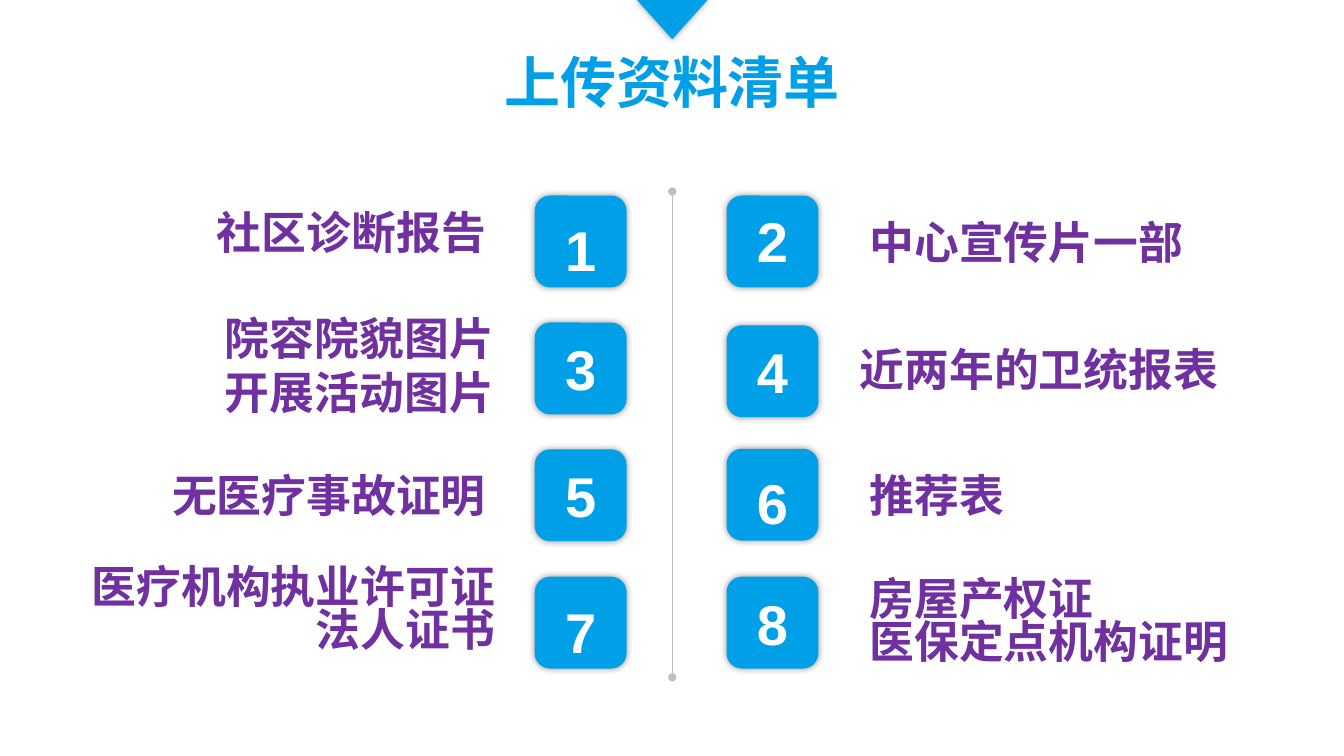
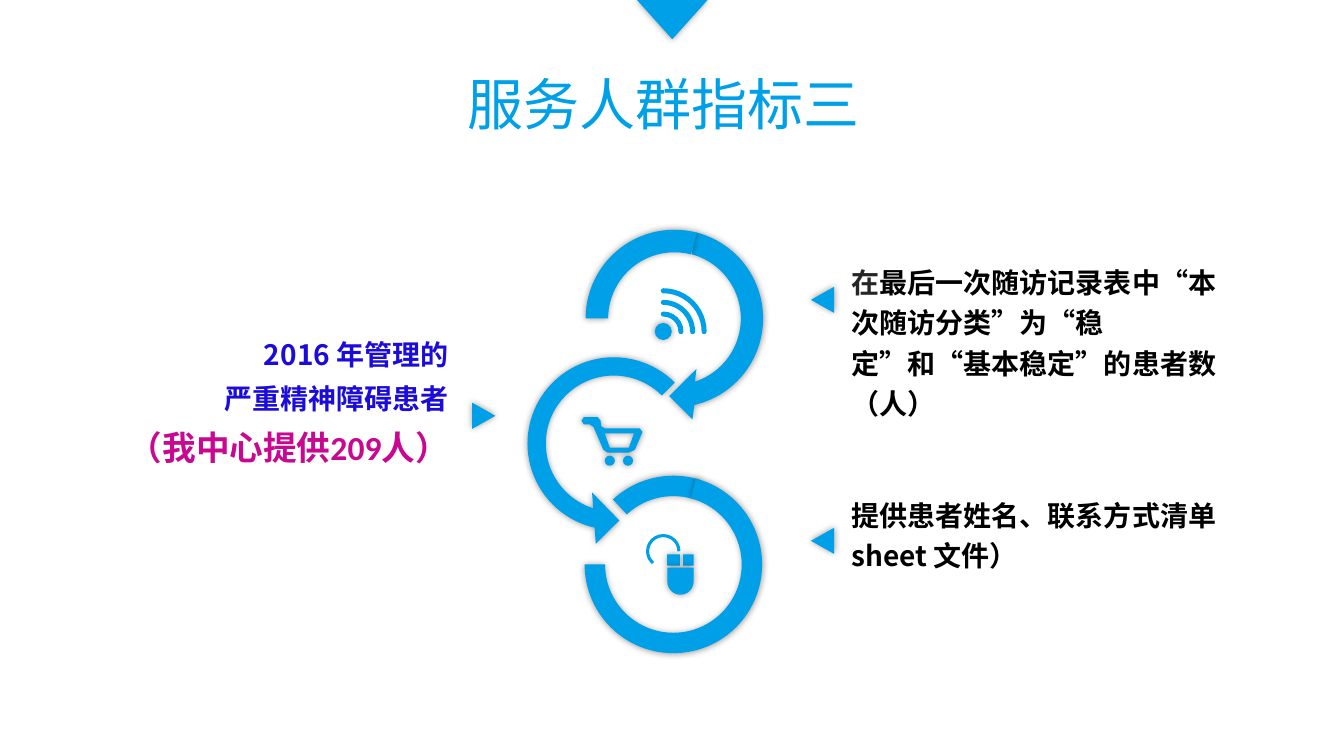
"""Build two slides: a numbered upload checklist and a linked-ring indicator diagram."""
from math import cos, radians, sin

from lxml.etree import SubElement
from pptx import Presentation
from pptx.dml.color import RGBColor
from pptx.enum.shapes import MSO_CONNECTOR, MSO_SHAPE
from pptx.enum.text import PP_ALIGN
from pptx.oxml.ns import qn
from pptx.util import Pt

BLUE = RGBColor(0x00, 0xA0, 0xE9)
PURPLE = RGBColor(0x70, 0x30, 0xA0)
INDIGO = RGBColor(0x1B, 0x0C, 0xDA)
MAGENTA = RGBColor(0xC8, 0x08, 0x90)
GRAY = RGBColor(0xBF, 0xBF, 0xBF)
CHARCOAL = RGBColor(0x26, 0x26, 0x26)
BLACK = RGBColor(0x00, 0x00, 0x00)
WHITE = RGBColor(0xFF, 0xFF, 0xFF)
TITLE_FONT = "Noto Sans CJK JP"
BODY_FONT = "Noto Sans CJK SC"


def paint(shape, rotation=0, adjustments=()):
    """Give a shape the blue fill and the soft shadow."""
    shape.fill.solid()
    shape.fill.fore_color.rgb = BLUE
    shape.line.fill.background()
    shape.rotation = rotation
    for index, value in enumerate(adjustments):
        shape.adjustments[index] = value
    shape.shadow.inherit = False
    effects = shape._element.spPr.find(qn("a:effectLst"))
    shadow = SubElement(effects, qn("a:outerShdw"), blurRad=str(Pt(5)), algn="ctr", rotWithShape="0")
    color = SubElement(shadow, qn("a:srgbClr"), val="000000")
    SubElement(color, qn("a:alpha"), val="40000")


def add_text(slide, box, lines, size, font, color, align, bold=True, spacing=None):
    """Add a wrapped text box with one paragraph per line."""
    frame = slide.shapes.add_textbox(*map(Pt, box)).text_frame
    frame.word_wrap = True
    frame.text = "\n".join(lines)
    for paragraph in frame.paragraphs:
        paragraph.alignment = align
        paragraph.line_spacing = spacing
        paragraph.font.size = Pt(size)
        paragraph.font.bold = bold
        paragraph.font.color.rgb = color
        paragraph.font.name = font
        east_asian = BODY_FONT if font in ("Calibri", "Arial") else font
        SubElement(paragraph._p.pPr.find(qn("a:defRPr")), qn("a:ea"), typeface=east_asian)
    return frame


presentation = Presentation()
presentation.slide_width = Pt(960)
presentation.slide_height = Pt(540)

slides = []
for title, left, top, bold in [("上传资料清单", 263, 31, True), ("服务人群指标三", 257, 46.8, False)]:
    slide = presentation.slides.add_slide(presentation.slide_layouts[6])
    marker = slide.shapes.add_shape(MSO_SHAPE.ISOSCELES_TRIANGLE, Pt(455), Pt(0), Pt(50.4), Pt(28))
    paint(marker, rotation=180)
    frame = add_text(slide, (left, top, 434, 53), [title], 40, TITLE_FONT, BLUE, PP_ALIGN.CENTER, bold)
    frame.margin_left = frame.margin_right = Pt(5)
    frame.margin_top = frame.margin_bottom = Pt(2.9)
    slides.append(slide)
checklist, indicator = slides

divider = checklist.shapes.add_connector(MSO_CONNECTOR.STRAIGHT, Pt(480.2), Pt(136.8), Pt(480.2), Pt(483.8))
divider.line.color.rgb = GRAY
divider.line.width = Pt(0.5)
properties = divider._element.spPr
for end in ("a:headEnd", "a:tailEnd"):
    SubElement(properties.find(qn("a:ln")), qn(end), type="oval")
SubElement(properties, qn("a:effectLst"))

TILE = 65.6
items = [
    (139.7, 150.5, (112.3, 149.8, 242, 38), ["社区诊断报告"], 0.8),
    (139.7, 144, (614, 149.8, 259, 46), ["中心宣传片一部"], None),
    (230.4, 235.4, (49.7, 218.2, 310.3, 85), ["院容院貌图片", "开展活动图片"], None),
    (232.4, 237.6, (607, 240.5, 344, 46), ["近两年的卫统报表"], None),
    (321, 326.2, (56.9, 330.5, 297.4, 46), ["无医疗事故证明"], None),
    (320.6, 331.2, (614, 330.5, 259, 46), ["推荐表"], None),
    (412, 423.4, (38.2, 403.2, 322.6, 69), ["医疗机构执业许可证法人证书"], 0.8),
    (412, 417.6, (614, 411.8, 275, 69), ["房屋产权证", "医保定点机构证明"], 0.8),
]
for number, (tile_top, digit_top, box, lines, spacing) in enumerate(items, 1):
    on_left = number % 2 == 1
    tile_left = 382 if on_left else 519
    tile = checklist.shapes.add_shape(
        MSO_SHAPE.ROUNDED_RECTANGLE, Pt(tile_left), Pt(tile_top), Pt(TILE), Pt(TILE))
    paint(tile)
    add_text(checklist, (tile_left, digit_top, TILE, 55), [str(number)], 40, "Arial", WHITE, PP_ALIGN.CENTER)
    align = PP_ALIGN.RIGHT if on_left else PP_ALIGN.LEFT
    add_text(checklist, box, lines, 32, "Calibri", PURPLE, align, spacing=spacing)

RING = 126.8
ring_parts = [
    (MSO_SHAPE.LEFT_CIRCULAR_ARROW, 365, 243.4, 146.9, (0.089, 11.423, 62.936, 189, 0.125)),
    (MSO_SHAPE.BLOCK_ARC, 417.6, 339.8, RING, (136.24, 172.28, 0.115)),
    (MSO_SHAPE.BLOCK_ARC, 417.6, 339.8, RING, (170.85, 108, 0.115)),
]
for kind, left, top, size, adjustments in ring_parts:
    ring = indicator.shapes.add_shape(kind, Pt(left), Pt(top), Pt(size), Pt(size))
    paint(ring, adjustments=adjustments)

center_x, center_y, outer, inner = 481.7, 227.5, 63.4, 47.5
outer_arc = [(center_x + outer * cos(radians(a)), center_y + outer * sin(radians(a))) for a in range(-76, 78, 3)]
inner_arc = [(center_x + inner * cos(radians(a)), center_y + inner * sin(radians(a))) for a in range(72, -77, -3)]
arrow_tip = [(494.6, 299.5), (478.1, 283), (497.5, 263.5)]
ring_arrow = [outer_arc + arrow_tip + inner_arc]
cart = [
    [(417, 298), (427, 298), (429, 300.3), (429.5, 304.5), (432, 306), (457, 306), (459, 308.5),
     (453.6, 321.2), (449.3, 323.3), (434, 323.3), (431, 321.2), (424, 305), (421.2, 303.1),
     (417, 303.1), (415.4, 300.5)],
    [(449.3, 319.7), (435.6, 319.7), (432, 309.6), (452.9, 309.6)],
]
for contours in (ring_arrow, cart):
    builder = None
    for contour in contours:
        points = [(Pt(x), Pt(y)) for x, y in contour]
        if builder is None:
            builder = indicator.shapes.build_freeform(*points[0])
        else:
            builder.move_to(*points[0])
        builder.add_line_segments(points[1:], close=True)
    paint(builder.convert_to_shape())

ring_start = indicator.shapes.add_shape(
    MSO_SHAPE.BLOCK_ARC, Pt(center_x - outer), Pt(center_y - outer), Pt(RING), Pt(RING))
paint(ring_start, adjustments=(108, 170.8, 0.127))

icon_parts = [
    (MSO_SHAPE.OVAL, 467.7, 230.7, 12.2, 12.2, 0),
    (MSO_SHAPE.OVAL, 432, 325.5, 7.2, 7.2, 0),
    (MSO_SHAPE.OVAL, 445, 325.5, 7.2, 7.2, 0),
    (MSO_SHAPE.RECTANGLE, 476.6, 396, 9, 8, 0),
    (MSO_SHAPE.RECTANGLE, 488, 396, 7.4, 8, 0),
    (MSO_SHAPE.ROUND_2_SAME_RECTANGLE, 476.6, 405.4, 18.8, 19.4, 180),
    (MSO_SHAPE.ISOSCELES_TRIANGLE, 578.2, 205.9, 18.7, 16.6, 270),
    (MSO_SHAPE.ISOSCELES_TRIANGLE, 578.2, 378, 18.7, 16.6, 270),
    (MSO_SHAPE.ISOSCELES_TRIANGLE, 336.2, 288.7, 18.7, 16.6, 90),
]
for kind, left, top, width, height, rotation in icon_parts:
    part = indicator.shapes.add_shape(kind, Pt(left), Pt(top), Pt(width), Pt(height))
    rounded = kind == MSO_SHAPE.ROUND_2_SAME_RECTANGLE
    paint(part, rotation, (0.5, 0) if rounded else ())

strokes = [(473.8, 236.9, radius, 3.6, 162, "rnd") for radius in (12.6, 20.9, 29.2)]
strokes.append((473.8, 393.8, 11.2, 2.2, 78.6, "flat"))
for x, y, radius, width, start, cap in strokes:
    stroke = indicator.shapes.add_shape(
        MSO_SHAPE.ARC, Pt(x - radius), Pt(y - radius), Pt(2 * radius), Pt(2 * radius))
    stroke.adjustments[0] = start
    stroke.adjustments[1] = 0
    stroke.fill.background()
    stroke.line.color.rgb = BLUE
    stroke.line.width = Pt(width)
    stroke._element.spPr.find(qn("a:ln")).set("cap", cap)
    stroke.shadow.inherit = False

frame = add_text(indicator, (601.2, 181.4, 279.4, 94), ["在"], 20, BODY_FONT, CHARCOAL, PP_ALIGN.LEFT, spacing=1.2)
run = frame.paragraphs[0].add_run()
run.text = "最后一次随访记录表中“本次随访分类”为“稳定”和“基本稳定”的患者数（人）"
run.font.color.rgb = BLACK
add_text(indicator, (601.2, 347.8, 279.4, 65.5), ["提供患者姓名、联系方式清单 sheet 文件）"],
         20, BODY_FONT, BLACK, PP_ALIGN.LEFT, spacing=1.2)
frame = add_text(indicator, (28.8, 230.4, 298.8, 145.4),
                 ["2016 年管理的", "严重精神障碍患者", "（我中心提供209人）"],
                 20, BODY_FONT, INDIGO, PP_ALIGN.RIGHT, spacing=1.3)
provided = frame.paragraphs[2].font
provided.size = Pt(24)
provided.name = "Calibri"
provided.color.rgb = MAGENTA

presentation.save("out.pptx")
